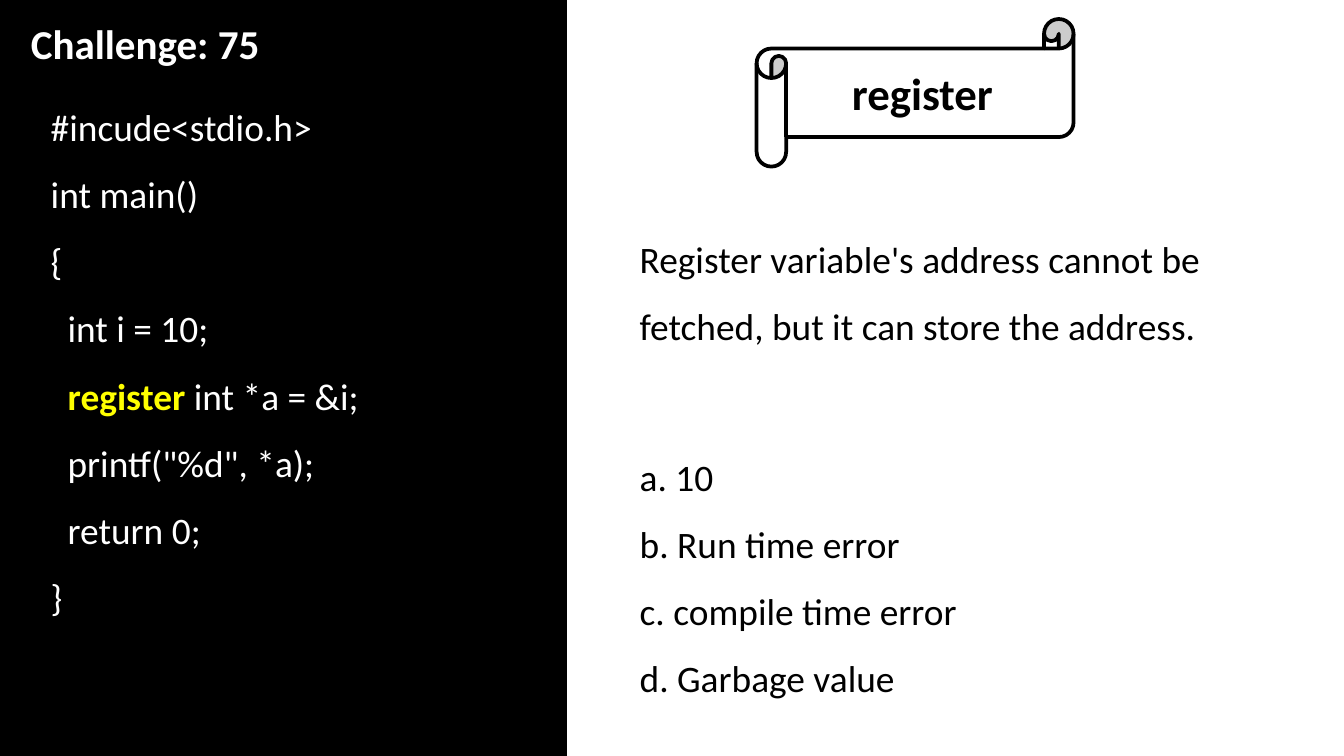
from typing import NamedTuple

import pptx
import pptx.dml.color
import pptx.enum.shapes
import pptx.enum.text
import pptx.util
from pptx.util import Cm

COLORS = {"black": "000000", "white": "FFFFFF", "keyword": "FFFF00"}
FONT = "Calibri"
KEYWORD = " register "


class Box(NamedTuple):
    left: float
    top: float
    width: float
    height: float

    def lengths(self) -> list[pptx.util.Length]:
        return [Cm(value) for value in self]


class Passage(NamedTuple):
    box: Box
    lines: list[str]
    color: str


PANEL = Box(0, 0, 10.69, 14.29)
SCROLL = Box(14.3, 0.36, 5.99, 2.79)
HEADING = Box(0.33, 0.23, 4.83, 1.19)

PASSAGES = [
    Passage(Box(0.71, 1.42, 8.86, 10.52), [
        "#incude<stdio.h>",
        "int main()",
        "{",
        "  int i = 10;",
        "  register int *a = &i;",
        '  printf("%d", *a);',
        "  return 0;",
        "}",
    ], "white"),
    Passage(Box(11.84, 8.03, 7.34, 5.38), [
        "a. 10",
        "b. Run time error",
        "c. compile time error",
        "d. Garbage value",
    ], "black"),
    Passage(Box(11.84, 3.91, 12.85, 2.82), [
        "Register variable's address cannot be fetched, but it can store the address.",
    ], "black"),
]


def rgb(color: str) -> pptx.dml.color.RGBColor:
    return pptx.dml.color.RGBColor.from_string(COLORS[color])


def write_text(frame, lines: list[str], *, size: float, color: str,
               bold: bool = False, spacing: float = 1.0, wrap: bool = True,
               align=pptx.enum.text.PP_ALIGN.LEFT,
               anchor=pptx.enum.text.MSO_ANCHOR.TOP) -> None:
    """Write one paragraph per line, with the C keyword highlighted."""
    frame.word_wrap = wrap
    frame.vertical_anchor = anchor
    frame.auto_size = pptx.enum.text.MSO_AUTO_SIZE.NONE
    for index, line in enumerate(lines):
        paragraph = frame.add_paragraph() if index else frame.paragraphs[0]
        paragraph.alignment = align
        paragraph.line_spacing = spacing
        before, keyword, after = line.partition(KEYWORD)
        for text in filter(None, (before, keyword, after)):
            highlighted = text == KEYWORD
            run = paragraph.add_run()
            run.text = text
            run.font.name = FONT
            run.font.size = pptx.util.Pt(size)
            run.font.bold = bold or highlighted
            run.font.color.rgb = rgb("keyword" if highlighted else color)


def add_outlined_shape(slide, kind, box: Box, fill: str):
    shape = slide.shapes.add_shape(kind, *box.lengths())
    shape.shadow.inherit = False
    shape.fill.solid()
    shape.fill.fore_color.rgb = rgb(fill)
    shape.line.color.rgb = rgb("black")
    shape.line.width = pptx.util.Pt(2)
    return shape


def add_passage(slide, passage: Passage) -> None:
    textbox = slide.shapes.add_textbox(*passage.box.lengths())
    write_text(textbox.text_frame, passage.lines, size=20,
               color=passage.color, spacing=1.5)


def place_heading(slide) -> None:
    heading = slide.shapes.title
    heading.left, heading.top, heading.width, heading.height = HEADING.lengths()
    write_text(heading.text_frame, ["Challenge: 75"], size=22, color="white",
               bold=True, wrap=False)
    # The heading must lie in front of the dark panel.
    heading.element.getparent().append(heading.element)


def main() -> None:
    deck = pptx.Presentation()
    deck.slide_width, deck.slide_height = Cm(25.4), Cm(14.29)
    slide = deck.slides.add_slide(deck.slide_layouts.get_by_name("Title Only"))

    shapes = pptx.enum.shapes.MSO_SHAPE
    add_outlined_shape(slide, shapes.RECTANGLE, PANEL, "black")
    scroll = add_outlined_shape(slide, shapes.HORIZONTAL_SCROLL, SCROLL, "white")
    scroll.adjustments[0] = 0.2
    write_text(scroll.text_frame, ["register"], size=24, color="black", bold=True,
               align=pptx.enum.text.PP_ALIGN.CENTER,
               anchor=pptx.enum.text.MSO_ANCHOR.MIDDLE)
    for passage in PASSAGES:
        add_passage(slide, passage)
    place_heading(slide)

    deck.save("out.pptx")


if __name__ == "__main__":
    main()
